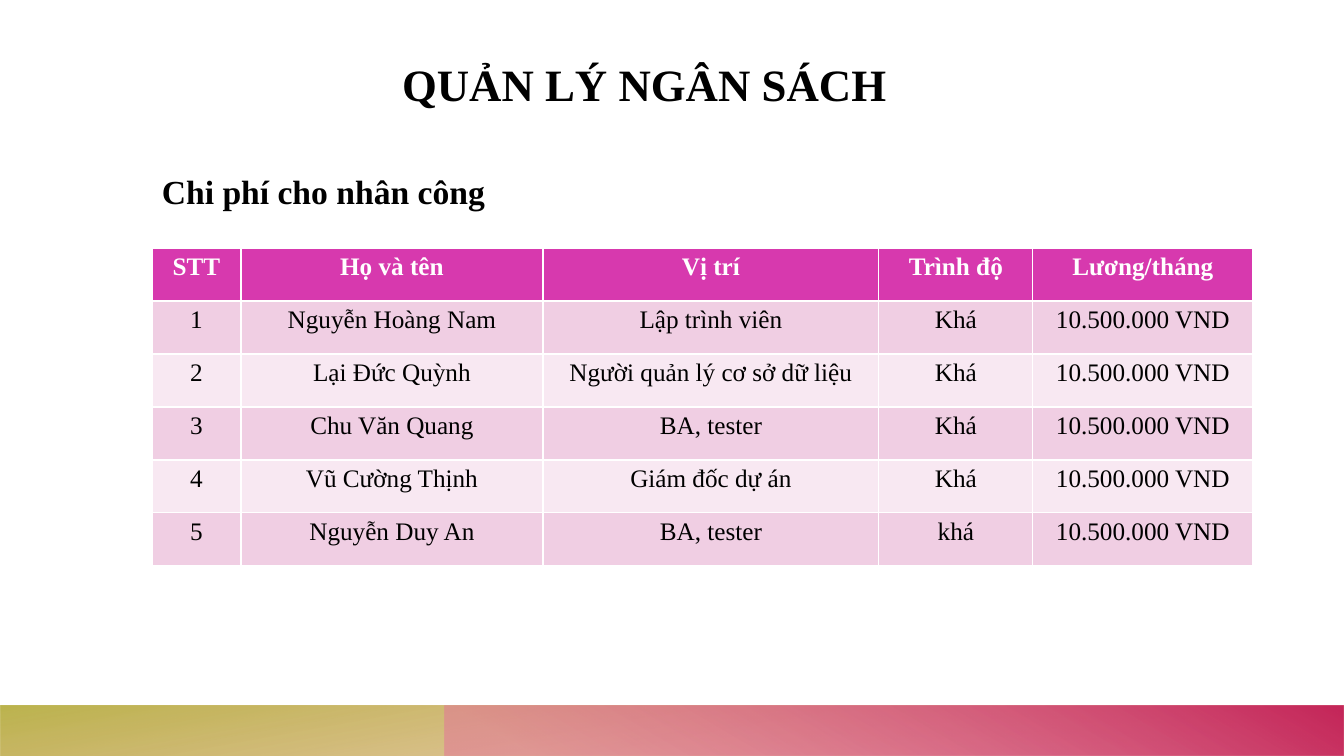
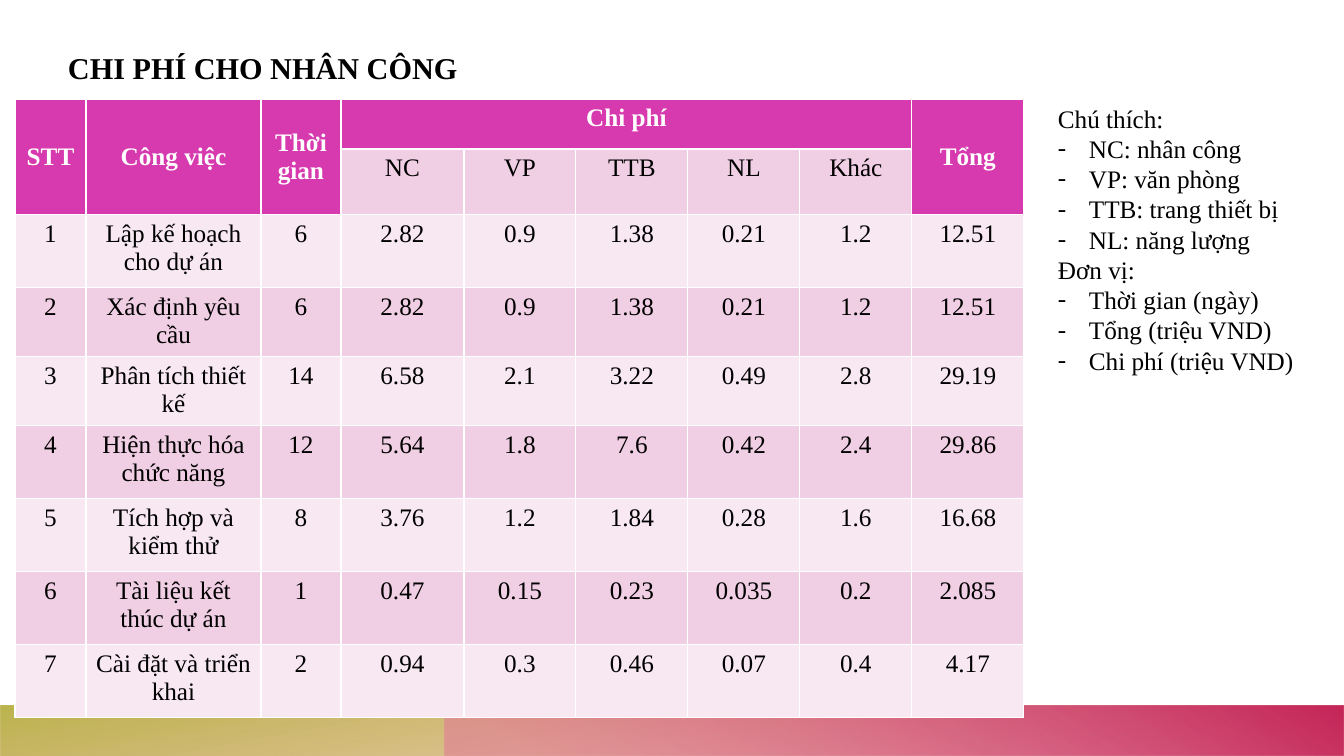
from pptx import Presentation
from pptx.dml.color import RGBColor
from pptx.enum.shapes import MSO_SHAPE
from pptx.enum.text import MSO_ANCHOR, MSO_AUTO_SIZE, PP_ALIGN
from pptx.oxml import parse_xml
from pptx.oxml.ns import nsdecls, qn
from pptx.util import Emu, Pt

RECTANGLE = MSO_SHAPE.RECTANGLE
TOP, MIDDLE, BOTTOM = MSO_ANCHOR.TOP, MSO_ANCHOR.MIDDLE, MSO_ANCHOR.BOTTOM
LEFT, CENTER = PP_ALIGN.LEFT, PP_ALIGN.CENTER
NO_AUTOFIT = MSO_AUTO_SIZE.NONE

EMU_PER_PX = 914400 / 100.8
SLIDE_W, SLIDE_H = 1344, 756
BAND_H = 50
PINK_BAND_X = 445
TITLE_ONLY = 5
FONT = "Times New Roman"
BODY_PT = 18
BULLET_INDENT = 31

BLACK = RGBColor(0x00, 0x00, 0x00)
WHITE = RGBColor(0xFF, 0xFF, 0xFF)
MAGENTA = RGBColor(0xD7, 0x39, 0xAE)
PINK = RGBColor(0xF0, 0xCE, 0xE3)
PALE_PINK = RGBColor(0xF8, 0xE8, 0xF2)
ORANGE = RGBColor(0xC5, 0x78, 0x27)
OLIVE = RGBColor(0xB0, 0xA7, 0x2F)
ROSE = RGBColor(0xE4, 0x76, 0x99)
CRIMSON = RGBColor(0xC5, 0x27, 0x5A)

SALARY = "10.500.000 VND"
STAFF_ROWS = [
    ["STT", "Họ và tên", "Vị trí", "Trình độ", "Lương/tháng"],
    ["1", "Nguyễn Hoàng Nam", "Lập trình viên", "Khá", SALARY],
    ["2", "Lại Đức Quỳnh", "Người quản lý cơ sở dữ liệu", "Khá", SALARY],
    ["3", "Chu Văn Quang", "BA, tester", "Khá", SALARY],
    ["4", "Vũ Cường Thịnh", "Giám đốc dự án", "Khá", SALARY],
    ["5", "Nguyễn Duy An", "BA, tester", "khá", SALARY],
]
COST_ROWS = [
    ["STT", "Công việc", "Thời gian", "Chi phí", "", "", "", "", "Tổng"],
    ["", "", "", "NC", "VP", "TTB", "NL", "Khác", ""],
    ["1", "Lập kế hoạch cho dự án", "6", "2.82", "0.9", "1.38", "0.21", "1.2", "12.51"],
    ["2", "Xác định yêu cầu", "6", "2.82", "0.9", "1.38", "0.21", "1.2", "12.51"],
    ["3", "Phân tích thiết kế", "14", "6.58", "2.1", "3.22", "0.49", "2.8", "29.19"],
    ["4", "Hiện thực hóa chức năng", "12", "5.64", "1.8", "7.6", "0.42", "2.4", "29.86"],
    ["5", "Tích hợp và kiểm thử", "8", "3.76", "1.2", "1.84", "0.28", "1.6", "16.68"],
    ["6", "Tài liệu kết thúc dự án", "1", "0.47", "0.15", "0.23", "0.035", "0.2", "2.085"],
    ["7", "Cài đặt và triển khai", "2", "0.94", "0.3", "0.46", "0.07", "0.4", "4.17"],
]
COST_MERGES = [(0, 0, 1, 0), (0, 1, 1, 1), (0, 2, 1, 2), (0, 3, 0, 7), (0, 8, 1, 8)]
LEGEND = [
    ("Chú thích:", ["NC: nhân công", "VP: văn phòng", "TTB: trang thiết bị", "NL: năng lượng"]),
    ("Đơn vị:", ["Thời gian (ngày)", "Tổng (triệu VND)", "Chi phí (triệu VND)"]),
]


def px(length):
    """Turn whole pixels into EMU."""
    return Emu(round(length * EMU_PER_PX))


def px_box(box):
    """Turn a left, top, width, height box into EMU."""
    return [px(length) for length in box]


def style_paragraph(paragraph, size, color=BLACK, bold=False, align=LEFT):
    """Align a paragraph and format its runs."""
    paragraph.alignment = align
    for run in paragraph.runs:
        run.font.name = FONT
        run.font.size = Pt(size)
        run.font.bold = bold
        run.font.color.rgb = color


def add_gradient_band(slide, box, stops, angle, rotation=0):
    """Add a mirrored gradient rectangle; stops are position, colour, opacity in percent."""
    band = slide.shapes.add_shape(RECTANGLE, *px_box(box))
    band.shadow.inherit = False
    band.line.fill.background()
    band.fill.background()
    band.rotation = rotation
    properties = band.element.spPr
    properties.find(qn("a:xfrm")).set("flipH", "1")
    stop_xml = "".join(
        f'<a:gs pos="{position * 1000}"><a:srgbClr val="{color}">'
        f'<a:alpha val="{opacity * 1000}"/></a:srgbClr></a:gs>'
        for position, color, opacity in stops
    )
    gradient = parse_xml(
        f'<a:gradFill {nsdecls("a")} rotWithShape="1"><a:gsLst>{stop_xml}</a:gsLst>'
        f'<a:lin ang="{angle * 60000}" scaled="0"/></a:gradFill>'
    )
    properties.replace(properties.find(qn("a:noFill")), gradient)
    return band


def add_footer_bands(slide, box):
    """Draw the footer bands and move them to the layout that all slides share."""
    left, top, width, height = box
    olive_band = add_gradient_band(
        slide, box, [(14, ORANGE, 28), (100, OLIVE, 85)], 100, rotation=180)
    pink_band = add_gradient_band(
        slide, (left + PINK_BAND_X, top, width - PINK_BAND_X, height),
        [(9, ROSE, 55), (99, CRIMSON, 100)], 240)
    layout_tree = slide.slide_layout.shapes.element
    for order, band in enumerate((olive_band, pink_band)):
        band.element.nvSpPr.cNvPr.set("id", str(20 + order))
        layout_tree.insert(2 + order, band.element)


def set_title(slide, text, box, size):
    """Place and format the title placeholder."""
    title = slide.shapes.title
    title.left, title.top, title.width, title.height = px_box(box)
    frame = title.text_frame
    frame.text = text
    frame.auto_size = NO_AUTOFIT
    frame.word_wrap = True
    frame.vertical_anchor = BOTTOM
    frame.margin_left = frame.margin_top = frame.margin_right = frame.margin_bottom = 0
    style_paragraph(frame.paragraphs[0], size, bold=True)


def add_banded_table(slide, origin, rows, col_widths, row_heights, merges=()):
    """Add a table with magenta headers and alternating pink rows."""
    box = (*origin, sum(col_widths), sum(row_heights))
    table = slide.shapes.add_table(len(rows), len(col_widths), *px_box(box)).table
    for column, width in zip(table.columns, col_widths):
        column.width = px(width)
    for row, height in zip(table.rows, row_heights):
        row.height = px(height)
    for top, left, bottom, right in merges:
        table.cell(top, left).merge(table.cell(bottom, right))
    for row_index, row in enumerate(rows):
        for col_index, text in enumerate(row):
            cell = table.cell(row_index, col_index)
            header = row_index == 0 or cell.is_spanned
            cell.fill.solid()
            cell.fill.fore_color.rgb = MAGENTA if header else (PALE_PINK, PINK)[row_index % 2]
            if not text:
                continue
            tall = cell.is_merge_origin and cell.span_height > 1
            cell.vertical_anchor = MIDDLE if tall else TOP
            cell.text_frame.text = text
            style_paragraph(cell.text_frame.paragraphs[0], BODY_PT,
                            WHITE if header else BLACK, header, CENTER)


def add_subtitle(slide, text, box):
    """Add the bold heading above a table."""
    frame = slide.shapes.add_textbox(*px_box(box)).text_frame
    frame.word_wrap = True
    frame.text = text
    style_paragraph(frame.paragraphs[0], 24, bold=True)


def add_dash(paragraph):
    """Give a paragraph a hanging dash."""
    properties = paragraph._p.get_or_add_pPr()
    properties.set("marL", str(px(BULLET_INDENT)))
    properties.set("indent", str(-px(BULLET_INDENT)))
    properties.append(parse_xml(f'<a:buFont {nsdecls("a")} typeface="{FONT}"/>'))
    properties.append(parse_xml(f'<a:buChar {nsdecls("a")} char="-"/>'))


def add_legend(slide, groups, box):
    """Add headings, each followed by dashed entries."""
    frame = slide.shapes.add_textbox(*px_box(box)).text_frame
    frame.word_wrap = True
    lines = []
    for heading, entries in groups:
        lines += [(heading, False)] + [(entry, True) for entry in entries]
    for index, (text, dashed) in enumerate(lines):
        paragraph = frame.add_paragraph() if index else frame.paragraphs[0]
        paragraph.text = text
        style_paragraph(paragraph, BODY_PT)
        if dashed:
            add_dash(paragraph)


def build_staff_slide(slide):
    """Build the budget slide with the staff salaries."""
    set_title(slide, "QUẢN LÝ NGÂN SÁCH", (402, 37, 549, 74), 32)
    add_banded_table(slide, (152, 248), STAFF_ROWS, [89, 302, 336, 154, 220],
                     [53] * len(STAFF_ROWS))
    add_subtitle(slide, "Chi phí cho nhân công", (152, 166, 562, 82))


def build_cost_slide(slide):
    """Build the slide with the cost of each task and its legend."""
    set_title(slide, "CHI PHÍ CHO NHÂN CÔNG", (68, 51, 424, 35), 21.6)
    add_banded_table(slide, (15, 99), COST_ROWS, [71, 175, 80, 123] + [112] * 5,
                     [50, 50, 73, 69, 69] + [73] * 4, COST_MERGES)
    add_legend(slide, LEGEND, (1048, 98, 281, 285))


def main():
    """Build and save the presentation."""
    prs = Presentation()
    prs.slide_width, prs.slide_height = px(SLIDE_W), px(SLIDE_H)
    layout = prs.slide_layouts[TITLE_ONLY]
    staff_slide, cost_slide = [prs.slides.add_slide(layout) for _ in range(2)]
    add_footer_bands(staff_slide, (0, SLIDE_H - BAND_H, SLIDE_W, BAND_H))
    build_staff_slide(staff_slide)
    build_cost_slide(cost_slide)
    prs.save("out.pptx")


if __name__ == "__main__":
    main()
